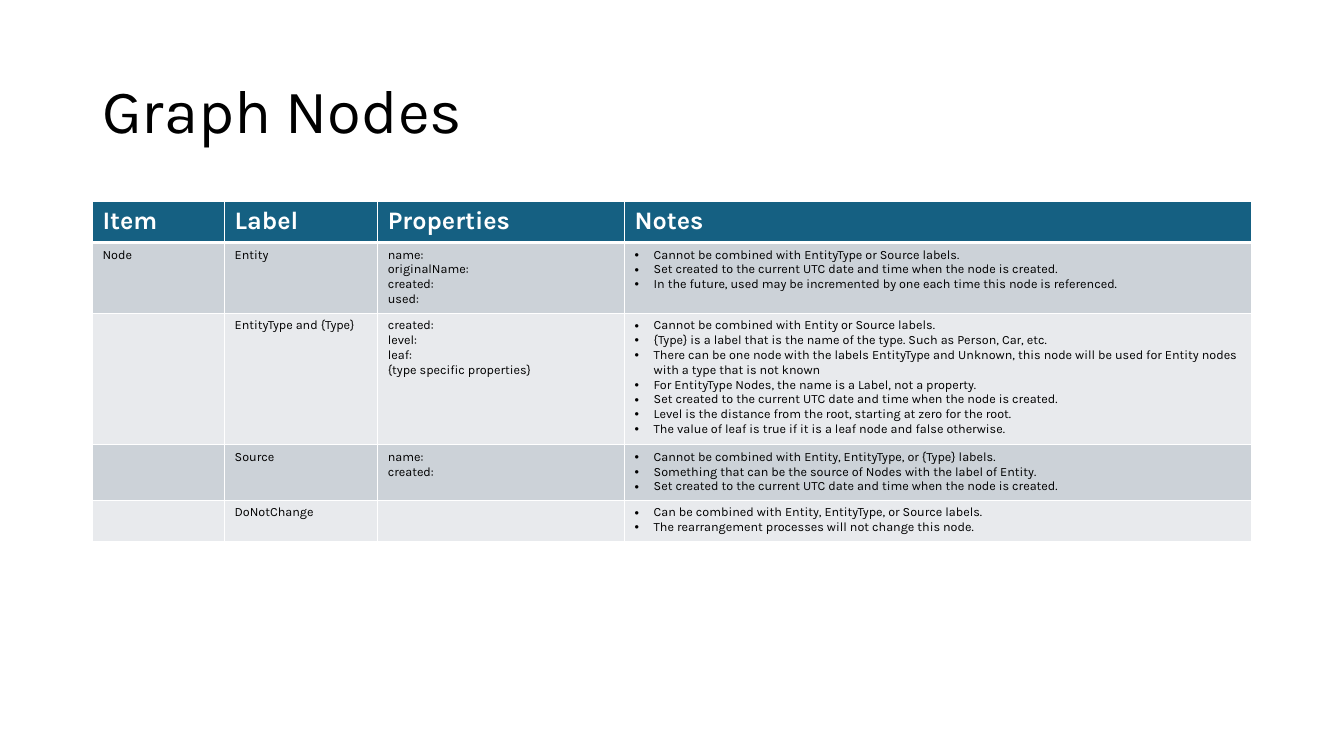
from dataclasses import dataclass

from lxml.etree import SubElement as Sub
from pptx import Presentation
from pptx.dml.color import RGBColor as Rgb
from pptx.enum.text import MSO_ANCHOR as Anchor
from pptx.oxml.ns import qn
from pptx.util import Cm, Pt

STAMP = "Set created to the current UTC date and time when the node is created."
HEADS = ["Item", "Label", "Properties", "Notes"]
ROWS = [
    (["Node"], ["Entity"], ["name:", "originalName:", "created:", "used:"], [
        "Cannot be combined with EntityType or Source labels.",
        STAMP,
        "In the future, used may be incremented by one each time this node is referenced.",
    ]),
    ([], ["EntityType and {Type}"],
     ["created:", "level:", "leaf:", "{type specific properties}"], [
        "Cannot be combined with Entity or Source labels.",
        "{Type} is a label that is the name of the type. Such as Person, Car, etc.",
        "There can be one node with the labels EntityType and Unknown, this node "
        "will be used for Entity nodes with a type that is not known",
        "For EntityType Nodes, the name is a Label, not a property.",
        STAMP,
        "Level is the distance from the root, starting at zero for the root.",
        "The value of leaf is true if it is a leaf node and false otherwise.",
    ]),
    ([], ["Source"], ["name:", "created:"], [
        "Cannot be combined with Entity, EntityType, or {Type} labels.",
        "Something that can be the source of Nodes with the label of Entity.",
        STAMP,
    ]),
    ([], ["DoNotChange"], [], [
        "Can be combined with Entity, EntityType, or Source labels.",
        "The rearrangement processes will not change this node.",
    ]),
]
WIDTHS = [3.33, 3.86, 6.22, 15.8]
HEIGHTS = [1.03, 1.75, 3.25, 1.37, 1.03]


@dataclass(frozen=True)
class Theme:
    """Colours, font and type sizes of the slide."""
    font: str = "Karla"
    ink: str = "000000"
    paper: str = "FFFFFF"
    head: str = "156082"
    bands: tuple = ("CCD2D8", "E8EAED")
    title: int = 44
    label: int = 18
    body: int = 9
    thin: int = 1
    thick: int = 3


class Deck:
    """Draws styled elements on the current slide."""

    def __init__(self, theme):
        """Open a wide deck with one blank slide."""
        self.theme = theme
        self.deck = Presentation()
        self.deck.slide_width, self.deck.slide_height = Cm(33.87), Cm(19.05)
        self.slide = self.deck.slides.add_slide(self.deck.slide_layouts[6])

    def text(self, frame, lines, size, color, bold=False):
        """Fill a text frame with one paragraph per line."""
        frame.text = "\n".join(lines)
        for para in frame.paragraphs:
            for run in para.runs:
                font = run.font
                font.name, font.size, font.bold = self.theme.font, Pt(size), bold
                font.color.rgb = Rgb.from_string(color)

    def title(self, text, left, top, width, height):
        """Add the slide title."""
        frame = self.slide.shapes.add_textbox(
            Cm(left), Cm(top), Cm(width), Cm(height)).text_frame
        frame.word_wrap = True
        frame.vertical_anchor = Anchor.MIDDLE
        self.text(frame, [text], self.theme.title, self.theme.ink)
        frame.paragraphs[0].line_spacing = 0.9

    def bullet(self, para):
        """Give a paragraph a hanging bullet."""
        props = para._p.get_or_add_pPr()
        props.set("marL", str(Cm(0.48)))
        props.set("indent", str(-Cm(0.48)))
        Sub(props, qn("a:buFont"), typeface="Arial")
        Sub(props, qn("a:buChar"), char="•")

    def border(self, cell, top, base):
        """Rule the four sides of a cell."""
        props = cell._tc.get_or_add_tcPr()
        thin = self.theme.thin
        for side, width in zip("LRTB", (thin, thin, top, base)):
            line = Sub(props, qn(f"a:ln{side}"), w=str(Pt(width)))
            fill = Sub(line, qn("a:solidFill"))
            Sub(fill, qn("a:srgbClr"), val=self.theme.paper)

    def cell(self, cell, lines, row, listed):
        """Style and fill one table cell."""
        look = self.theme
        top = look.thick if row == 1 else look.thin
        base = look.thick if row == 0 else look.thin
        self.border(cell, top, base)
        cell.fill.solid()
        shade = look.bands[(row - 1) % 2] if row else look.head
        cell.fill.fore_color.rgb = Rgb.from_string(shade)
        if not lines:
            return
        if row:
            self.text(cell.text_frame, lines, look.body, look.ink)
        else:
            self.text(cell.text_frame, lines, look.label, look.paper, True)
        if listed:
            for para in cell.text_frame.paragraphs:
                self.bullet(para)

    def table(self, rows, left, top, widths, heights):
        """Add a table with a header row and banded body."""
        grid = self.slide.shapes.add_table(
            len(rows), len(widths), Cm(left), Cm(top),
            Cm(sum(widths)), Cm(sum(heights))).table
        for col, width in zip(grid.columns, widths):
            col.width = Cm(width)
        for line, height in zip(grid.rows, heights):
            line.height = Cm(height)
        last = len(widths) - 1
        for i, row in enumerate(rows):
            for j, lines in enumerate(row):
                self.cell(grid.cell(i, j), lines, i, i > 0 and j == last)


def main():
    """Build and save the slide."""
    deck = Deck(Theme())
    deck.title("Graph Nodes", 2.33, 1.01, 29.21, 3.68)
    heads = [[head] for head in HEADS]
    deck.table([heads, *ROWS], 2.33, 5.08, WIDTHS, HEIGHTS)
    deck.deck.save("out.pptx")


if __name__ == "__main__":
    main()
